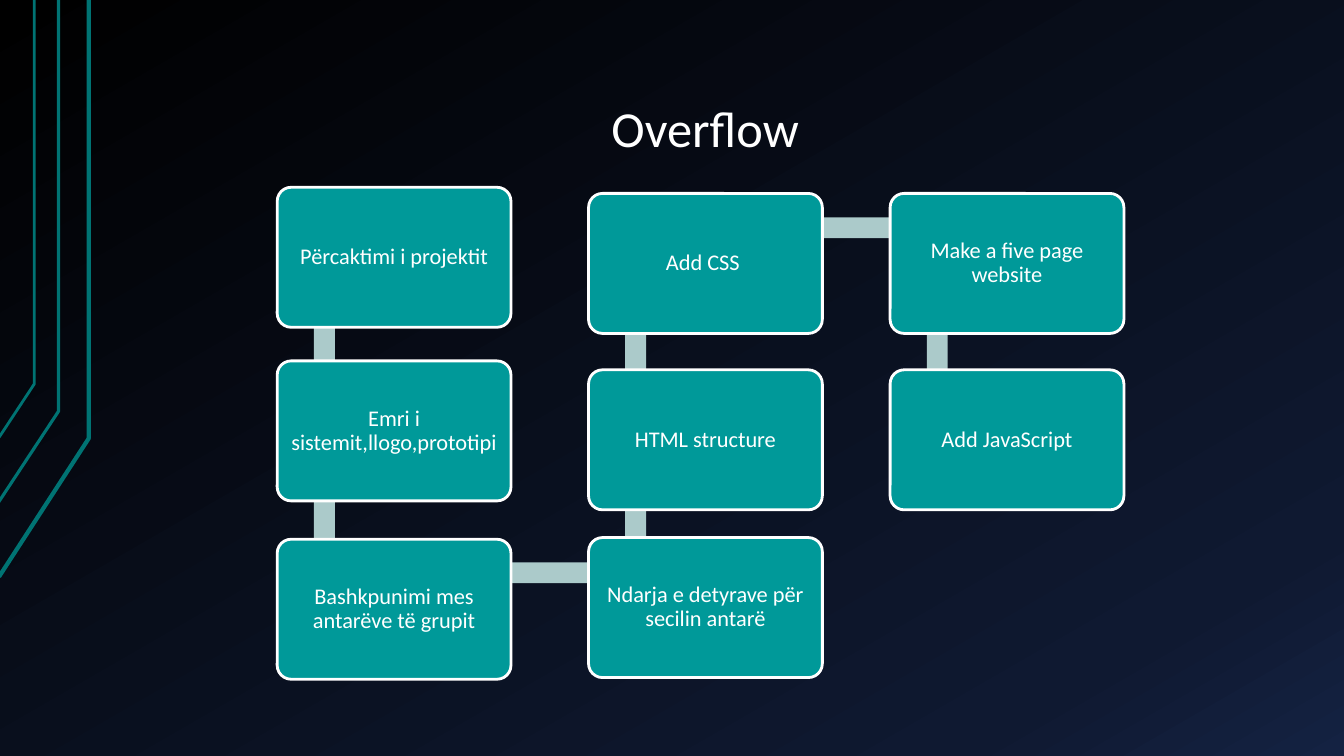
"""Build the "Overflow" slide: a snaking flow of eight project steps."""
import copy
import itertools

import pptx
import pptx.dml.color
import pptx.enum.shapes
import pptx.enum.text
import pptx.util

Pt = pptx.util.Pt
RGBColor = pptx.dml.color.RGBColor
SHAPES = pptx.enum.shapes.MSO_SHAPE
ANCHOR = pptx.enum.text.MSO_ANCHOR

WHITE = RGBColor(0xFF, 0xFF, 0xFF)
STEP_TEAL = RGBColor(0x00, 0x99, 0x99)
BAND_PALE = RGBColor(0xAB, 0xCA, 0xCA)
TRACE_TEAL = RGBColor(0x00, 0x73, 0x73)
BACKDROP = [
    (0, RGBColor(0x00, 0x00, 0x00)),
    (0.85, RGBColor(0x0F, 0x19, 0x31)),
    (1, RGBColor(0x14, 0x22, 0x42)),
]
FONT = "Calibri"

TITLE = "Overflow"
COLUMNS = [
    (198, [("Përcaktimi i projektit", 133.8),
           ("Emri i sistemit,llogo,prototipi", 257.8),
           ("Bashkpunimi mes antarëve të grupit", 385.2)]),
    (420.4, [("Ndarja e detyrave për secilin antarë", 384),
             ("HTML structure", 264.2),
             ("Add CSS ", 138.2)]),
    (635.8, [("Make a five page website", 138.2),
             ("Add JavaScript", 264.2)]),
]
TRACES = [
    (3, [(-0.7, 412), (63.4, 313.2), (63.4, 0)]),
    (2.25, [(-1.4, 359.3), (41.8, 293.8), (41.8, 0)]),
    (2, [(-0.7, 312.5), (24.5, 274.3), (24.5, 0)]),
]

STEP_WIDTH, STEP_HEIGHT = 167, 100
PIVOT_X, PIVOT_Y = 33.7, 24.5
BAND = 15


def write(shape, text, size, anchor, inset_x, inset_y):
    """Put one centred white paragraph into a shape."""
    frame = shape.text_frame
    frame.word_wrap = True
    frame.vertical_anchor = anchor
    frame.margin_left = frame.margin_right = Pt(inset_x)
    frame.margin_top = frame.margin_bottom = Pt(inset_y)
    paragraph = frame.paragraphs[0]
    paragraph.alignment = pptx.enum.text.PP_ALIGN.CENTER
    paragraph.line_spacing = 0.9
    run = paragraph.add_run()
    run.text = text
    run.font.name = FONT
    run.font.size = Pt(size)
    run.font.color.rgb = WHITE


def paint_backdrop(slide):
    """Fill the slide with the three-stop gradient."""
    fill = slide.background.fill
    fill.gradient()
    fill.gradient_angle = 300
    stop_list = slide.element.xpath(".//a:gsLst")[0]
    stop_list.append(copy.deepcopy(stop_list[-1]))
    for stop, (position, color) in zip(fill.gradient_stops, BACKDROP):
        stop.position = position
        stop.color.rgb = color


def add_trace(slide, weight, points):
    """Draw one open decorative line."""
    corners = [(Pt(x), Pt(y)) for x, y in points]
    builder = slide.shapes.build_freeform(*corners[0])
    builder.add_line_segments(corners[1:], close=False)
    trace = builder.convert_to_shape()
    trace.shadow.inherit = False
    trace.fill.background()
    trace.line.color.rgb = TRACE_TEAL
    trace.line.width = Pt(weight)


def add_band(slide, start, end):
    """Join the pivots of two neighbouring steps with a straight band."""
    (x1, y1), (x2, y2) = start, end
    if x1 == x2:
        place = (x1 - BAND / 2, min(y1, y2), BAND, abs(y2 - y1))
    else:
        place = (x1, (y1 + y2 - BAND) / 2, x2 - x1, BAND)
    band = slide.shapes.add_shape(SHAPES.RECTANGLE, *map(Pt, place))
    band.shadow.inherit = False
    band.fill.solid()
    band.fill.fore_color.rgb = BAND_PALE
    band.line.fill.background()


def add_step(slide, text, left, top):
    """Draw one rounded step with its wording."""
    place = map(Pt, (left, top, STEP_WIDTH, STEP_HEIGHT))
    step = slide.shapes.add_shape(SHAPES.ROUNDED_RECTANGLE, *place)
    step.adjustments[0] = 0.1
    step.shadow.inherit = False
    step.fill.solid()
    step.fill.fore_color.rgb = STEP_TEAL
    step.line.color.rgb = WHITE
    step.line.width = Pt(2)
    write(step, text, size=16, anchor=ANCHOR.MIDDLE, inset_x=5, inset_y=5)


def main():
    deck = pptx.Presentation()
    deck.slide_width, deck.slide_height = Pt(960), Pt(540)
    slide = deck.slides.add_slide(deck.slide_layouts[6])
    paint_backdrop(slide)
    for weight, points in TRACES:
        add_trace(slide, weight, points)

    title = slide.shapes.add_textbox(*map(Pt, (95.8, 21.6, 815.8, 96.5)))
    write(title, TITLE, size=36, anchor=ANCHOR.BOTTOM, inset_x=9.4, inset_y=5)

    steps = [(text, left, top) for left, column in COLUMNS for text, top in column]
    pivots = [(left + PIVOT_X, top + PIVOT_Y) for _, left, top in steps]
    for start, end in itertools.pairwise(pivots):
        add_band(slide, start, end)
    for text, left, top in steps:
        add_step(slide, text, left, top)
    deck.save("out.pptx")


if __name__ == "__main__":
    main()
